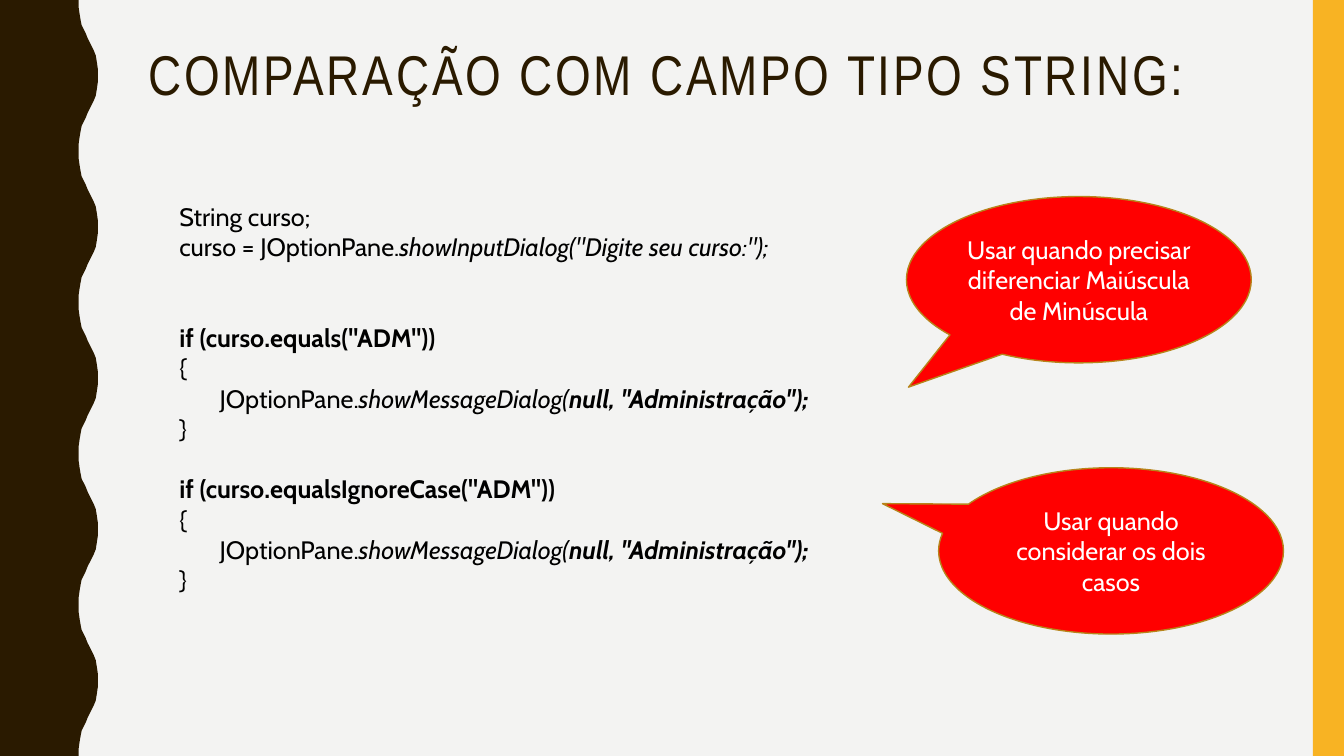
from pptx import Presentation
from pptx.dml.color import RGBColor
from pptx.enum.shapes import MSO_SHAPE
from pptx.enum.text import MSO_ANCHOR, MSO_AUTO_SIZE, PP_ALIGN
from pptx.util import Inches, Pt

BROWN = RGBColor(0x2A, 0x1A, 0x00)
AMBER = RGBColor(0xF8, 0xB3, 0x23)
GOLD = RGBColor(0xB7, 0x84, 0x1A)
RED = RGBColor(0xFF, 0x00, 0x00)
PAPER = RGBColor(0xF3, 0xF3, 0xF2)
BLACK = RGBColor(0x00, 0x00, 0x00)
WHITE = RGBColor(0xFF, 0xFF, 0xFF)

TITLE = "COMPARAÇÃO COM CAMPO TIPO STRING:"
SHOW_MESSAGE = [("JOptionPane.", ""), ("showMessageDialog(", "i"), ('null, "Administração");', "bi")]
CODE = [
    (0, 0, [("String curso;", "")]),
    (0, 0, [("curso = JOptionPane.", ""), ('showInputDialog("Digite seu curso:");', "i")]),
]
for gap_lines, condition in [(2, 'if (curso.equals("ADM"))'), (1, 'if (curso.equalsIgnoreCase("ADM"))')]:
    CODE += [
        (gap_lines, 0, [(condition, "b")]),
        (0, 0, [("{", "")]),
        (0, 0.4, SHOW_MESSAGE),
        (0, 0, [("}", "")]),
    ]
CALLOUTS = [
    ("Usar quando precisar diferenciar Maiúscula de Minúscula", 8.99, 1.95, (-0.494, 0.646)),
    ("Usar quando considerar os dois casos", 9.31, 4.64, (-0.663, -0.284)),
]

WIDTH, HEIGHT = 13.33, 7.5
LINE_PITCH = 21.6
WAVE_PERIOD = 1.5
HALF_WAVE = [
    (0.78, 0), (0.78, 0.07), (0.79, 0.14), (0.8, 0.2), (0.81, 0.25),
    (0.83, 0.29), (0.85, 0.33), (0.87, 0.38), (0.89, 0.42), (0.91, 0.46),
    (0.93, 0.5), (0.95, 0.55), (0.96, 0.61), (0.97, 0.68), (0.97, 0.75),
]


def add_text(paragraph, text, font="Cabin", size=18, color=BLACK, style="", spacing=None):
    run = paragraph.add_run()
    run.text = text
    run.font.name = font
    run.font.size = Pt(size)
    run.font.color.rgb = color
    run.font.bold = "b" in style
    run.font.italic = "i" in style
    if spacing:
        run.font._element.set("spc", str(spacing * 100))


def paint(shape, fill, line=None):
    shape.shadow.inherit = False
    shape.fill.solid()
    shape.fill.fore_color.rgb = fill
    if line:
        shape.line.color.rgb = line
        shape.line.width = Pt(1)
    else:
        shape.line.fill.background()


def add_wave(slide):
    full_wave = HALF_WAVE + [(x, WAVE_PERIOD - y) for x, y in HALF_WAVE[-2::-1]]
    edge = [
        (Inches(x), Inches(y + crest * WAVE_PERIOD))
        for crest in range(round(HEIGHT / WAVE_PERIOD))
        for x, y in full_wave
    ]
    outline = slide.shapes.build_freeform(0, 0)
    outline.add_line_segments(edge + [(0, Inches(HEIGHT))], close=True)
    paint(outline.convert_to_shape(), BROWN)


def add_title(slide):
    title = slide.shapes.title
    title.left, title.top, title.width, title.height = map(Inches, (1.37, 0.42, 11.13, 1.13))
    frame = title.text_frame
    frame.word_wrap = True
    frame.auto_size = MSO_AUTO_SIZE.NONE
    frame.vertical_anchor = MSO_ANCHOR.TOP
    heading = frame.paragraphs[0]
    heading.alignment = PP_ALIGN.LEFT
    heading.line_spacing = 0.9
    add_text(heading, TITLE, font="Arial Narrow", size=40, color=BROWN, spacing=2)


def add_code(slide):
    frame = slide.shapes.add_textbox(*map(Inches, (1.68, 1.95, 9.74, 4.34))).text_frame
    frame.word_wrap = True
    for number, (gap_lines, indent, pieces) in enumerate(CODE):
        line = frame.add_paragraph() if number else frame.paragraphs[0]
        line.space_before = Pt(gap_lines * LINE_PITCH)
        if indent:
            line._p.get_or_add_pPr().set("marL", str(Inches(indent)))
        for text, style in pieces:
            add_text(line, text, style=style)


def add_callout(slide, text, left, top, tip):
    callout = slide.shapes.add_shape(
        MSO_SHAPE.OVAL_CALLOUT, Inches(left), Inches(top), Inches(3.42), Inches(1.65))
    callout.adjustments[0], callout.adjustments[1] = tip
    paint(callout, RED, GOLD)
    frame = callout.text_frame
    frame.word_wrap = True
    frame.vertical_anchor = MSO_ANCHOR.MIDDLE
    advice = frame.paragraphs[0]
    advice.alignment = PP_ALIGN.CENTER
    add_text(advice, text, color=WHITE)


def main():
    deck = Presentation()
    deck.slide_width, deck.slide_height = Inches(WIDTH), Inches(HEIGHT)
    slide = deck.slides.add_slide(deck.slide_layouts[5])
    slide.background.fill.solid()
    slide.background.fill.fore_color.rgb = PAPER
    add_wave(slide)
    side_band = slide.shapes.add_shape(
        MSO_SHAPE.RECTANGLE, Inches(13.02), 0, Inches(0.31), Inches(HEIGHT))
    paint(side_band, AMBER)
    add_code(slide)
    add_title(slide)
    for callout in CALLOUTS:
        add_callout(slide, *callout)
    deck.save("out.pptx")


if __name__ == "__main__":
    main()
